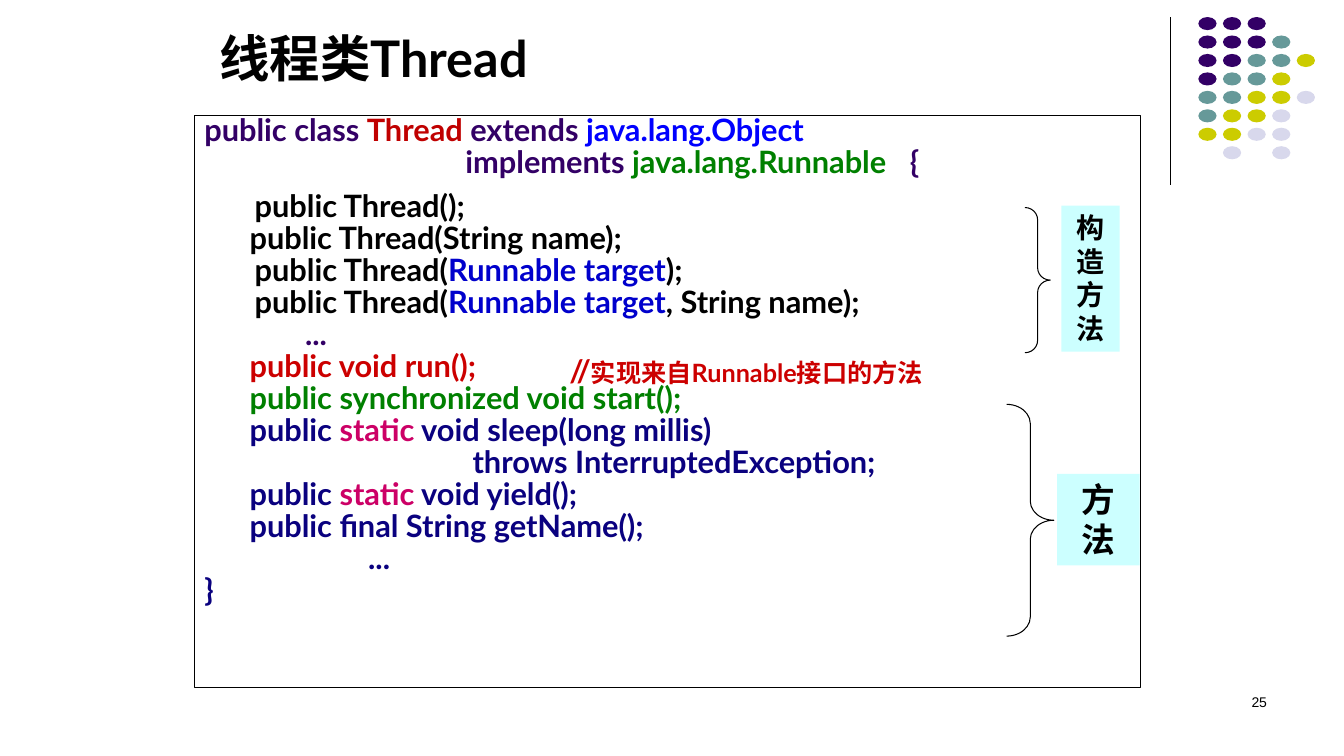
from lxml import etree
from pptx import Presentation
from pptx import util as u
from pptx.dml.color import RGBColor
from pptx.enum import shapes, text
from pptx.oxml.ns import qn

COLORS = {
    "black": "000000", "white": "FFFFFF", "cyan": "CCFFFF",
    "purple": "330066", "teal": "669999", "olive": "CCCC00", "lavender": "D8D8EC",
    "crimson": "C00000", "red": "CC0000", "blue": "0000FF", "royal": "0000CC",
    "green": "008000", "navy": "0A017F", "pink": "CC0066",
}
DOT_ROWS = ["PPP", "PPPT", "PPTTY", "PTTY", "TTYYL", "TYYL", "YYLL", " L L"]
DOT_COLORS = {"P": "purple", "T": "teal", "Y": "olive", "L": "lavender"}

# Left indents of the code lines, in cm
CONSTRUCTOR, METHOD = 1.27, 1.14
CODE_TABS = (6.58, 17.78)
LINE_GAP, BLOCK_GAP = 4.4, 13

# Each line: indent, space before in points, runs of (text, colour)
CODE = [
    (0, LINE_GAP, [("public class ", "purple"), ("Thread", "crimson"),
                   (" extends ", "purple"), ("java.lang.Object", "blue")]),
    (0, LINE_GAP, [("\timplements ", "purple"), ("java.lang.Runnable", "green"),
                   ("\t{", "purple")]),
    (CONSTRUCTOR, BLOCK_GAP, [("public Thread();", "black")]),
    (METHOD, LINE_GAP, [("public Thread(String name);", "black")]),
    (CONSTRUCTOR, LINE_GAP, [("public Thread(", "black"), ("Runnable target", "royal"),
                             (");", "black")]),
    (CONSTRUCTOR, LINE_GAP, [("public Thread(", "black"), ("Runnable target", "royal"),
                             (", String name);", "black")]),
    (2.54, LINE_GAP, [("...", "purple")]),
    (METHOD, LINE_GAP, [("public void run();", "red")]),
    (METHOD, LINE_GAP, [("public synchronized void start();", "green")]),
    (METHOD, LINE_GAP, [("public ", "navy"), ("static", "pink"),
                        (" void sleep(long millis)", "navy")]),
    (6.76, LINE_GAP, [("throws InterruptedException;", "navy")]),
    (METHOD, LINE_GAP, [("public ", "navy"), ("static", "pink"),
                        (" void yield();", "navy")]),
    (METHOD, LINE_GAP, [("public final String getName();", "navy")]),
    (4.13, LINE_GAP, [("...", "navy")]),
    (0, LINE_GAP, [("}", "navy")]),
]


def color(name):
    return RGBColor.from_string(COLORS[name])


def add_run(paragraph, content, size=22, ink="black", bold=True, font="Lato"):
    run = paragraph.add_run()
    run.text = content
    run.font.size = u.Pt(size)
    run.font.name = font
    run.font.bold = bold
    run.font.color.rgb = color(ink)


def set_tab_stops(paragraph, positions):
    properties = paragraph._p.get_or_add_pPr()
    tabs = etree.SubElement(properties, qn("a:tabLst"))
    for position in positions:
        etree.SubElement(tabs, qn("a:tab"), pos=str(u.Cm(position)), algn="l")


class SlideBuilder:
    """Holds the line style and the slide being filled."""

    line_width = u.Pt(0.75)

    def __init__(self, slide):
        self.slide = slide

    def shape(self, kind, left, top, width, height, fill=None, line=None, parent=None):
        holder = parent or self.slide
        shape = holder.shapes.add_shape(kind, *map(u.Cm, (left, top, width, height)))
        shape.shadow.inherit = False
        if fill:
            shape.fill.solid()
            shape.fill.fore_color.rgb = color(fill)
        else:
            shape.fill.background()
        if line:
            shape.line.color.rgb = color(line)
            shape.line.width = self.line_width
        else:
            shape.line.fill.background()
        return shape

    def textbox(self, left, top, width, height, runs, anchor="TOP", align="LEFT"):
        """Add one paragraph; runs are (text, format) pairs."""
        box = self.slide.shapes.add_textbox(*map(u.Cm, (left, top, width, height)))
        frame = box.text_frame
        frame.word_wrap = True
        frame.vertical_anchor = text.MSO_ANCHOR[anchor]
        frame.paragraphs[0].alignment = text.PP_ALIGN[align]
        for content, style in runs:
            add_run(frame.paragraphs[0], content, **style)

    def rule(self, x, top, bottom):
        line = self.slide.shapes.add_connector(
            shapes.MSO_CONNECTOR.STRAIGHT, u.Cm(x), u.Cm(top), u.Cm(x), u.Cm(bottom))
        line.line.color.rgb = color("black")
        line.line.width = self.line_width
        etree.SubElement(line._element.spPr, qn("a:effectLst"))

    def dots(self, left, top, step_x, step_y):
        group = self.slide.shapes.add_group_shape()
        for row, marks in enumerate(DOT_ROWS):
            for column, mark in enumerate(marks):
                if mark in DOT_COLORS:
                    self.shape(shapes.MSO_SHAPE.OVAL, left + column * step_x,
                               top + row * step_y, 0.46, 0.33,
                               fill=DOT_COLORS[mark], parent=group)

    def code(self, left, top, width, height):
        panel = self.shape(shapes.MSO_SHAPE.RECTANGLE, left, top, width, height,
                           fill="white", line="black")
        frame = panel.text_frame
        frame.word_wrap = True
        frame.vertical_anchor = text.MSO_ANCHOR.TOP
        for number, (indent, gap, runs) in enumerate(CODE):
            paragraph = frame.add_paragraph() if number else frame.paragraphs[0]
            paragraph.alignment = text.PP_ALIGN.LEFT
            paragraph.line_spacing = 0.7
            paragraph.space_before = u.Pt(gap)
            paragraph._p.get_or_add_pPr().set("marL", str(u.Cm(indent)))
            if "\t" in runs[0][0]:
                set_tab_stops(paragraph, CODE_TABS)
            for content, ink in runs:
                add_run(paragraph, content, ink=ink)

    def label(self, left, top, width, height, content, size):
        box = self.shape(shapes.MSO_SHAPE.RECTANGLE, left, top, width, height, fill="cyan")
        frame = box.text_frame
        frame.word_wrap = True
        frame.vertical_anchor = text.MSO_ANCHOR.TOP
        frame.paragraphs[0].alignment = text.PP_ALIGN.CENTER
        add_run(frame.paragraphs[0], content, size=size)

    def brace(self, left, top, width, height, curl):
        brace = self.shape(shapes.MSO_SHAPE.RIGHT_BRACE, left, top, width, height,
                           line="black")
        brace.adjustments[0] = curl
        brace.adjustments[1] = 0.5


def main():
    presentation = Presentation()
    presentation.slide_width, presentation.slide_height = u.Cm(33.87), u.Cm(19.05)
    builder = SlideBuilder(presentation.slides.add_slide(presentation.slide_layouts[6]))

    builder.rule(29.49, 0.43, 4.65)
    builder.dots(30.2, 0.43, 0.62, 0.465)
    builder.textbox(5.28, 0.74, 21.16, 1.6, [("线程类Thread", {"size": 36})],
                    anchor="BOTTOM")
    builder.code(4.9, 2.92, 23.85, 14.4)
    builder.textbox(24.28, 17.35, 7.9, 1.27,
                    [("25", {"size": 10, "bold": False, "font": "Arial"})], align="RIGHT")
    builder.label(26.75, 5.18, 1.47, 3.68, "构造方法", 20)
    builder.brace(25.83, 5.23, 0.64, 3.66, 0.485)
    builder.brace(25.37, 10.19, 1.19, 5.84, 0.405)
    builder.label(26.64, 11.94, 2.08, 2.31, "方法", 24)
    builder.textbox(14.1, 8.74, 10.19, 1.19,
                    [("//", {"ink": "red"}),
                     ("实现来自Runnable接口的方法", {"size": 18, "ink": "red"})])

    presentation.save("out.pptx")


if __name__ == "__main__":
    main()
